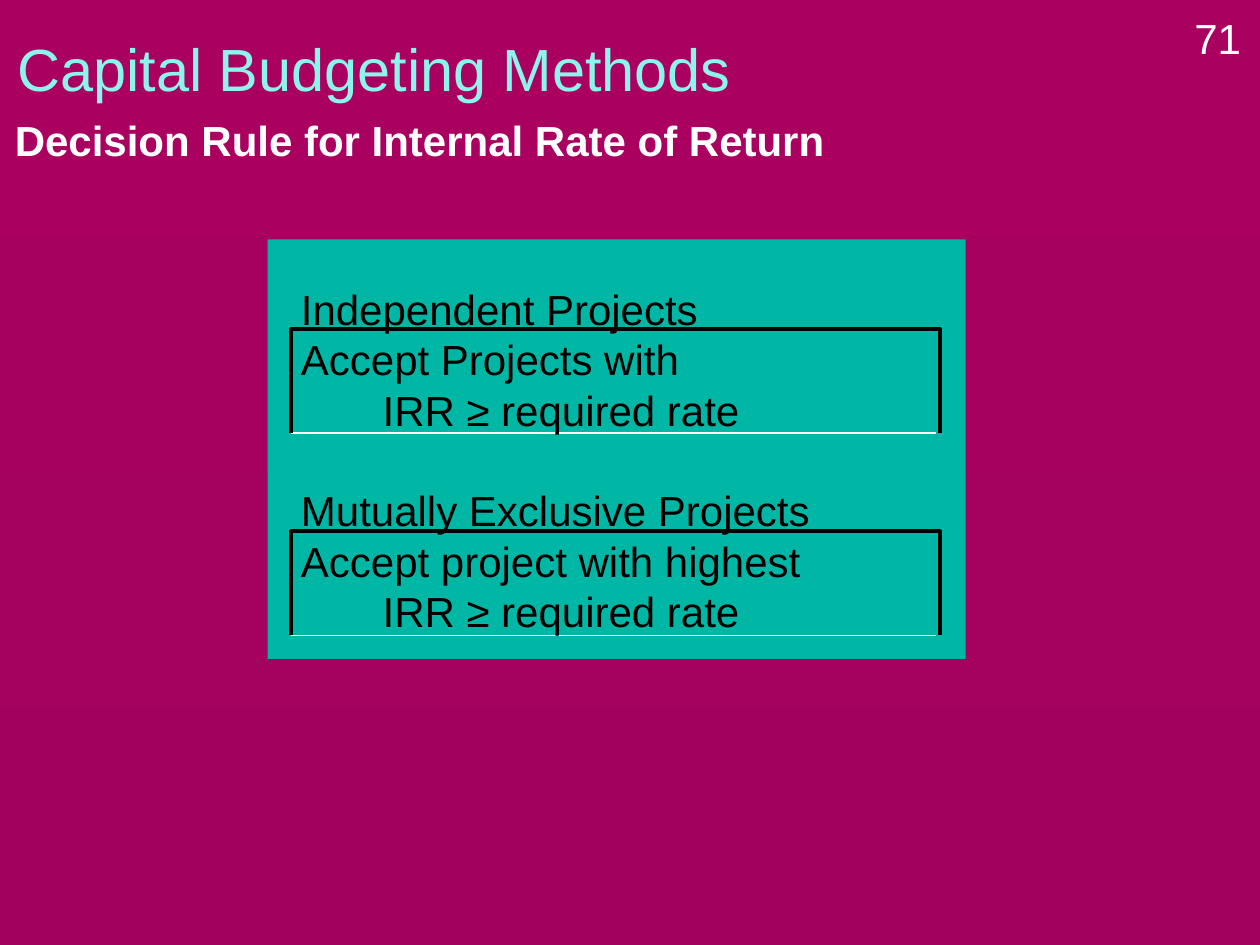
from lxml import etree
from pptx import Presentation
from pptx.dml.color import RGBColor
from pptx.enum import shapes, text
from pptx.oxml.ns import qn
from pptx.util import Pt

THEME = {
    "font": "Arial",
    "title_size": Pt(34),
    "body_size": Pt(24),
    "line_pitch": Pt(28.8),
    "top": RGBColor.from_string("AA0161"),
    "bottom": RGBColor.from_string("A2015D"),
    "title": RGBColor.from_string("8CF4EA"),
    "panel": RGBColor.from_string("00B7A5"),
    "white": RGBColor.from_string("FFFFFF"),
    "black": RGBColor.from_string("000000"),
}


def style(font, size, color, bold=False):
    font.name, font.size, font.bold = THEME["font"], size, bold
    font.color.rgb = color


deck = Presentation()
deck.slide_width, deck.slide_height = Pt(720), Pt(540)
page = deck.slides.add_slide(deck.slide_layouts[5])

backdrop = page.background.fill
backdrop.gradient()
backdrop.gradient_angle = 270
for stop, name in zip(backdrop.gradient_stops, ("top", "bottom")):
    stop.color.rgb = THEME[name]

# Title with a hard black text shadow
title = page.shapes.title
title.left, title.top, title.width, title.height = Pt(2.9), Pt(5.8), Pt(607.7), Pt(66.2)
title.text_frame.text = "Capital Budgeting Methods"
title.text_frame.vertical_anchor = text.MSO_ANCHOR.MIDDLE
para = title.text_frame.paragraphs[0]
para.alignment = text.PP_ALIGN.LEFT
span = para.runs[0]
style(span.font, THEME["title_size"], THEME["title"])
effects = etree.Element(qn("a:effectLst"))
shadow = etree.SubElement(effects, qn("a:outerShdw"), dist="35921", dir="2700000")
etree.SubElement(shadow, qn("a:srgbClr"), val=str(THEME["black"]))
span.font._element.find(qn("a:solidFill")).addnext(effects)

# Page number and subtitle
for words, left, top, width, bold in (
    ("71", 675.4, 3.6, 43.9, False),
    ("Decision Rule for Internal Rate of Return", 1.4, 61.9, 477.4, True),
):
    box = page.shapes.add_textbox(Pt(left), Pt(top), Pt(width), Pt(36))
    box.text_frame.word_wrap = False
    box.text_frame.text = words
    style(box.text_frame.paragraphs[0].font, THEME["body_size"], THEME["white"], bold)

panel = page.shapes.add_shape(
    shapes.MSO_SHAPE.RECTANGLE, Pt(152.9), Pt(136.8), Pt(399), Pt(239.8))
panel.shadow.inherit = False
panel.fill.solid()
panel.fill.fore_color.rgb = THEME["panel"]
panel.line.fill.background()

# Each rule is framed by a black bracket closed with a white line
left, right, height = 166.3, 537.1, 59.2
for top in (188, 303.6):
    bottom = top + height
    base = page.shapes.add_connector(
        shapes.MSO_CONNECTOR.STRAIGHT, Pt(left), Pt(bottom + 0.3), Pt(535), Pt(bottom + 0.3))
    base.line.color.rgb = THEME["white"]
    base.line.width = Pt(1)
    etree.SubElement(base._element.spPr, qn("a:effectLst"))

    builder = page.shapes.build_freeform(Pt(left), Pt(bottom))
    builder.add_line_segments(
        [(Pt(left), Pt(top)), (Pt(right), Pt(top)), (Pt(right), Pt(bottom))], close=False)
    bracket = builder.convert_to_shape()
    bracket.shadow.inherit = False
    bracket.fill.background()
    bracket.line.color.rgb = THEME["black"]
    bracket.line.width = Pt(2)

rules = page.shapes.add_textbox(Pt(164.9), Pt(158.4), Pt(372.2), Pt(237.6))
frame = rules.text_frame
frame.word_wrap = True
sections = (
    ("Independent Projects", "Accept Projects with", "IRR ≥ required rate"),
    ("Mutually Exclusive Projects", "Accept project with highest", "IRR ≥ required rate"),
)
for section, lines in enumerate(sections):
    for row, words in enumerate(lines):
        first = section == row == 0
        para = frame.paragraphs[0] if first else frame.add_paragraph()
        para.text = words
        para.line_spacing = THEME["line_pitch"]
        if row == 0 and section > 0:
            para.space_before = THEME["line_pitch"]
        if row == 2:
            properties = para._p.get_or_add_pPr()
            properties.set("marL", str(Pt(46.7)))
            properties.set("indent", "0")
        style(para.font, THEME["body_size"], THEME["black"])

deck.save("out.pptx")
